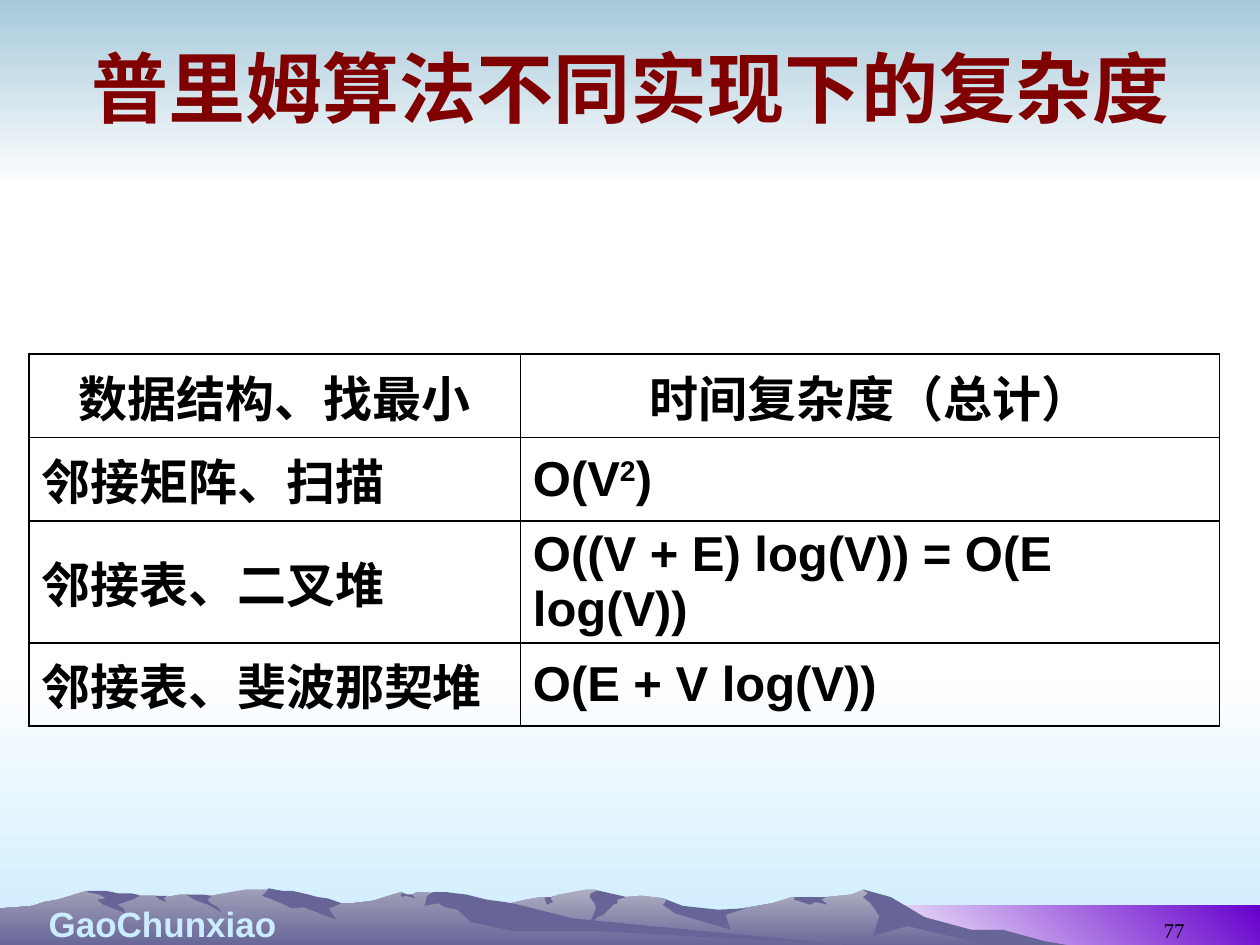
"""Build the slide comparing the complexity of Prim's algorithm implementations."""
from dataclasses import dataclass
from itertools import product

from lxml.etree import SubElement
from pptx import Presentation
from pptx.dml.color import RGBColor
from pptx.enum.shapes import MSO_SHAPE as Shape
from pptx.enum.text import MSO_ANCHOR as Anchor, MSO_AUTO_SIZE as AutoSize, PP_ALIGN as Align
from pptx.oxml.ns import qn
from pptx.util import Inches, Pt

COLORS = {
    "white": "FFFFFF", "black": "000000", "maroon": "800000", "sky": "A6C9DA",
    "ice": "CCECFF", "violet": "6600CC", "slate": "676597",
    "back_top": "AEAEC2", "front_top": "9F9EB8",
}


@dataclass(frozen=True)
class Band:
    left: float
    top: float
    width: float
    height: float
    colors: tuple[str, str]
    angle: int = 270


@dataclass(frozen=True)
class Ridge:
    """Outline in hundredths of an inch."""
    points: tuple[tuple[int, int], ...]
    colors: tuple[str, ...] = ("slate",)


@dataclass(frozen=True)
class Style:
    size: int
    font: str
    color: str
    bold: bool = True


BANDS = (
    Band(0, 5.33, 10, 2.17, ("white", "ice")),
    Band(0, 0, 10, 1.5, ("sky", "white")),
    Band(6.83, 7.19, 3.17, 0.33, ("white", "violet"), 45),
)

BACK_RANGE = (
    Ridge(((802, 746), (778, 740), (764, 738), (723, 725), (702, 712), (685, 706), (676, 710),
           (656, 712), (629, 712), (613, 717), (566, 725), (536, 721), (529, 714), (526, 713),
           (509, 711), (497, 712), (486, 713), (474, 707), (471, 706), (465, 706), (450, 709),
           (444, 710), (438, 712), (430, 712), (418, 714), (405, 717), (394, 719), (355, 725),
           (327, 731), (277, 745), (258, 752), (821, 752)), ("back_top", "slate")),
    Ridge(((796, 738), (771, 738), (734, 728), (707, 712), (685, 706), (689, 709), (685, 712),
           (691, 717), (698, 727), (693, 743), (720, 735), (792, 752), (858, 752), (829, 747))),
    Ridge(((471, 706), (474, 707), (469, 709), (468, 712), (472, 717), (473, 721), (465, 740),
           (474, 728), (479, 726), (487, 718), (490, 717), (490, 714), (497, 712), (493, 711))),
    Ridge(((529, 714), (528, 716), (526, 718), (536, 725), (580, 738), (576, 726), (592, 721),
           (570, 722), (542, 719))),
    Ridge(((650, 712), (630, 712), (631, 713), (630, 714), (643, 718), (647, 716), (657, 718),
           (652, 714), (656, 712))),
    Ridge(((433, 715), (432, 713), (434, 712), (438, 712), (439, 711), (437, 713), (439, 716),
           (434, 718))),
)

FRONT_RANGE = (
    Ridge(((690, 752), (667, 750), (432, 732), (354, 709), (331, 708), (327, 710), (323, 710),
           (318, 708), (296, 715), (279, 717), (271, 717), (260, 715), (236, 717), (223, 708),
           (219, 707), (215, 706), (195, 706), (189, 707), (178, 709), (168, 711), (160, 712),
           (148, 710), (143, 710), (132, 712), (123, 711), (111, 711), (94, 712), (68, 707),
           (56, 711), (46, 714), (35, 716), (26, 719), (14, 720), (0, 721), (0, 752)),
          ("front_top", "slate")),
    Ridge(((212, 707), (208, 711), (219, 715), (232, 721), (241, 720), (267, 730), (261, 721),
           (271, 717), (266, 715), (260, 713), (252, 712), (245, 710), (232, 707), (224, 707),
           (213, 705))),
    Ridge(((370, 710), (361, 709), (354, 708), (344, 708), (339, 711), (337, 719), (348, 717),
           (353, 720), (363, 722), (374, 732), (407, 739), (472, 739), (690, 751), (683, 751),
           (455, 729), (427, 722), (411, 718), (401, 716), (386, 714))),
    Ridge(((318, 710), (320, 709), (318, 708), (323, 710), (327, 710), (330, 713), (326, 712),
           (322, 711), (319, 712))),
    Ridge(((154, 710), (161, 710), (168, 711), (165, 714), (166, 716), (169, 718), (173, 720),
           (176, 724), (165, 718), (154, 714), (148, 710))),
    Ridge(((133, 711), (130, 713), (132, 716), (127, 714), (123, 711))),
    Ridge(((109, 710), (111, 711), (105, 714), (93, 718), (98, 721), (100, 725), (82, 718),
           (77, 714), (84, 713), (79, 710), (69, 708), (70, 707), (84, 707), (94, 709),
           (104, 709))),
)

ROWS = (
    ("数据结构、找最小", "时间复杂度（总计）"),
    ("邻接矩阵、扫描", "O(V^2^)"),
    ("邻接表、二叉堆", "O((V + E) log(V)) = O(E log(V))"),
    ("邻接表、斐波那契堆", "O(E + V log(V))"),
)
COLUMN_WIDTHS = (3.9, 5.55)
ROW_HEIGHTS = (0.48, 0.48, 0.84, 0.48)


def rgb(name: str) -> RGBColor:
    return RGBColor.from_string(COLORS[name])


def paint(shape, colors: tuple[str, ...], angle: int = 270) -> None:
    shape.shadow.inherit = False
    shape.line.fill.background()
    if len(colors) == 1:
        shape.fill.solid()
        shape.fill.fore_color.rgb = rgb(colors[0])
        return
    shape.fill.gradient()
    shape.fill.gradient_angle = angle
    for stop, color in zip(shape.fill.gradient_stops, colors):
        stop.color.rgb = rgb(color)


def draw_band(slide, band: Band) -> None:
    place = map(Inches, (band.left, band.top, band.width, band.height))
    paint(slide.shapes.add_shape(Shape.RECTANGLE, *place), band.colors, band.angle)


def draw_ridge(slide, ridge: Ridge):
    start, *others = ridge.points
    outline = slide.shapes.build_freeform(*start, scale=Inches(0.01))
    outline.add_line_segments(others, close=True)
    shape = outline.convert_to_shape()
    paint(shape, ridge.colors)
    return shape


def write(frame, text: str, style: Style, align: Align) -> None:
    """Fill a frame with one paragraph, raising the parts between carets."""
    para = frame.paragraphs[0]
    para.alignment = align
    for index, part in enumerate(text.split("^")):
        span = para.add_run()
        span.text = part
        span.font.size = Pt(style.size)
        span.font.name = style.font
        span.font.bold = style.bold
        span.font.color.rgb = rgb(style.color)
        if index % 2:
            span.font._element.set("baseline", "30000")


def add_label(slide, place: tuple[float, ...], text: str, style: Style, align: Align,
              anchor: Anchor) -> None:
    box = slide.shapes.add_textbox(*map(Inches, place))
    box.text_frame.word_wrap = True
    box.text_frame.vertical_anchor = anchor
    write(box.text_frame, text, style, align)


def add_borders(cell) -> None:
    properties = cell._tc.get_or_add_tcPr()
    for index, side in enumerate(("lnL", "lnR", "lnT", "lnB")):
        line = SubElement(properties, qn(f"a:{side}"), w=str(Pt(1)))
        fill = SubElement(line, qn("a:solidFill"))
        SubElement(fill, qn("a:srgbClr"), val=COLORS["black"])
        properties.insert(index, line)


def draw_table(slide) -> None:
    place = map(Inches, (0.23, 2.81, sum(COLUMN_WIDTHS), sum(ROW_HEIGHTS)))
    table = slide.shapes.add_table(len(ROWS), len(COLUMN_WIDTHS), *place).table
    table.first_row = table.horz_banding = False
    for column, width in zip(table.columns, COLUMN_WIDTHS):
        column.width = Inches(width)
    for row, height in zip(table.rows, ROW_HEIGHTS):
        row.height = Inches(height)
    for row, column in product(range(len(ROWS)), range(len(COLUMN_WIDTHS))):
        cell = table.cell(row, column)
        cell.vertical_anchor = Anchor.MIDDLE
        cell.fill.background()
        add_borders(cell)
        align = Align.LEFT if row else Align.CENTER
        write(cell.text_frame, ROWS[row][column], Style(28, "Arial", "black"), align)


def place_title(slide) -> None:
    title = slide.shapes.title
    title.left, title.top, title.width, title.height = map(Inches, (0.51, 0.13, 9, 1.12))
    title.text_frame.auto_size = AutoSize.NONE
    title.text_frame.vertical_anchor = Anchor.MIDDLE
    write(title.text_frame, "普里姆算法不同实现下的复杂度",
          Style(44, "Times New Roman", "maroon"), Align.CENTER)
    slide.shapes._spTree.append(title._element)


def main() -> None:
    deck = Presentation()
    deck.slide_width, deck.slide_height = Inches(10), Inches(7.5)
    slide = deck.slides.add_slide(deck.slide_layouts[5])
    for band in BANDS:
        draw_band(slide, band)
    for ridges in (BACK_RANGE, FRONT_RANGE):
        slide.shapes.add_group_shape([draw_ridge(slide, ridge) for ridge in ridges])
    add_label(slide, (0, 7.11, 2.58, 0.44), "GaoChunxiao", Style(20, "Arial", "ice"),
              Align.CENTER, Anchor.TOP)
    place_title(slide)
    draw_table(slide)
    add_label(slide, (7.17, 7.03, 2.33, 0.5), "77",
              Style(12, "Times New Roman", "black", False), Align.RIGHT, Anchor.BOTTOM)
    deck.save("out.pptx")


if __name__ == "__main__":
    main()
